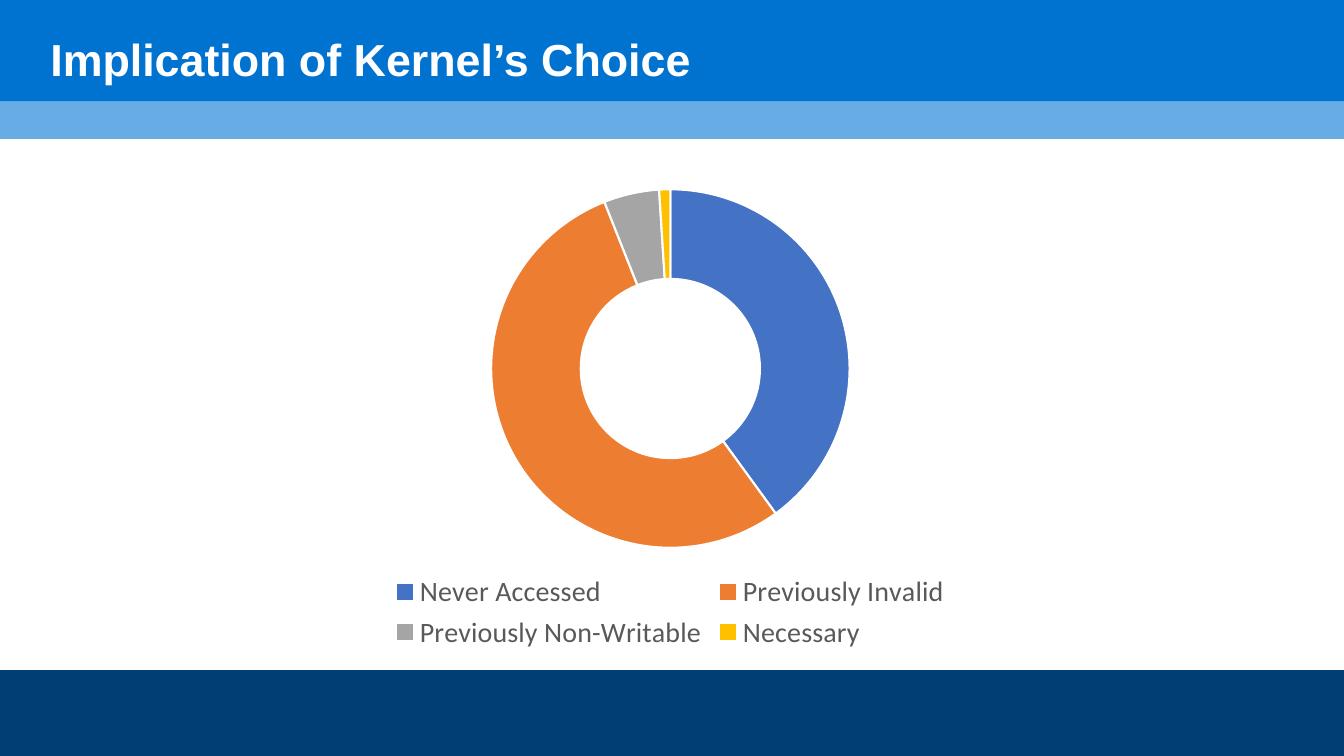
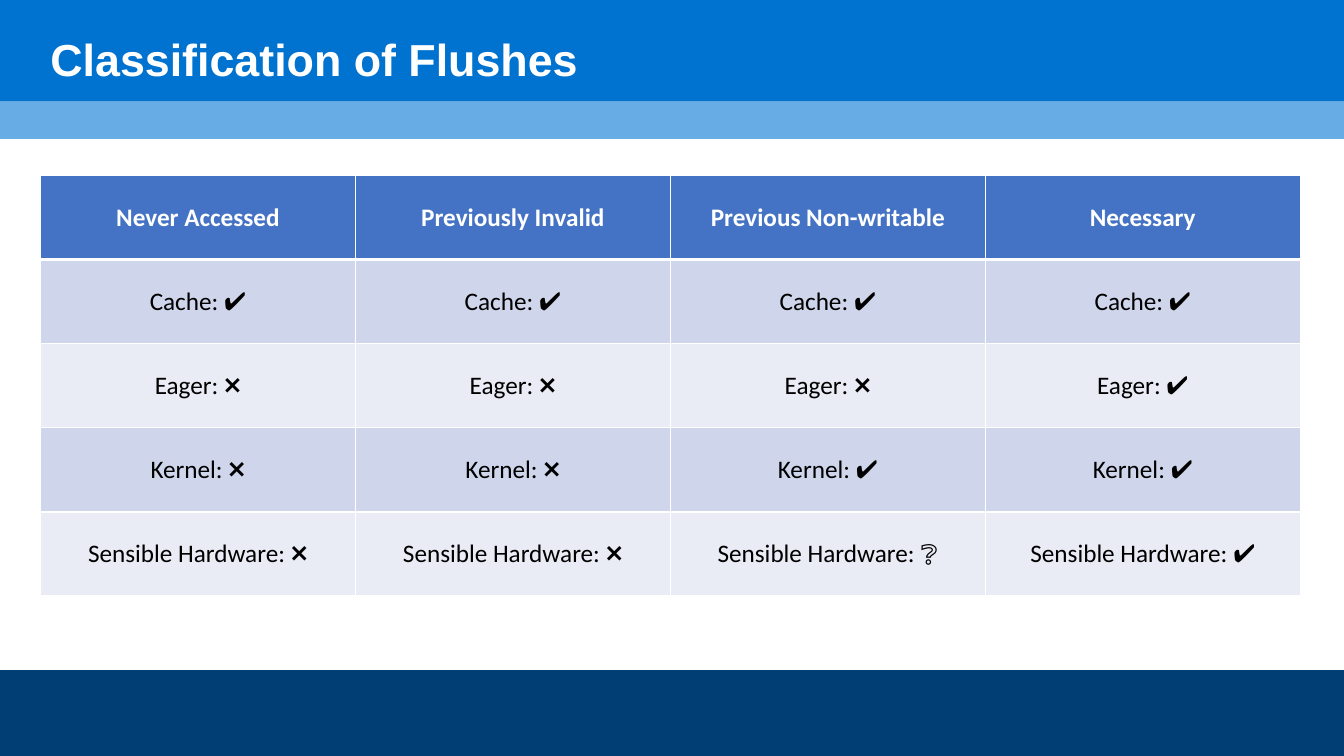
from dataclasses import dataclass

from lxml import etree
from pptx import Presentation
from pptx import util as u
from pptx.chart import data
from pptx.dml.color import RGBColor
from pptx.enum import chart as charts, shapes, text
from pptx.oxml import ns


@dataclass(frozen=True)
class Theme:
    title_band: str = "0072CF"
    accent_band: str = "68ACE5"
    footer_band: str = "003E74"
    white: str = "FFFFFF"
    black: str = "000000"
    legend: str = "595959"
    header: str = "4472C4"
    stripes: tuple[str, str] = ("CFD5EA", "E9EBF5")
    title_font: str = "Arial"
    body_font: str = "Calibri"
    title_size: int = 32
    legend_size: int = 20
    cell_size: int = 18
    chart_size: int = 10


@dataclass(frozen=True)
class Band:
    top: float
    height: float
    color: str


@dataclass(frozen=True)
class Slice:
    name: str
    share: int
    color: str


@dataclass(frozen=True)
class Policy:
    name: str
    marks: tuple[str, ...]


THEME = Theme()
WIDTH, HEIGHT = 33.87, 19.05
LEFT, BODY_TOP, BODY_WIDTH = 1.02, 4.42, 31.75
CHART_HEIGHT, ROW_HEIGHT = 12.09, 2.12

BANDS = (
    Band(0, 2.56, THEME.title_band),
    Band(2.56, 0.94, THEME.accent_band),
    Band(16.89, 2.16, THEME.footer_band),
)
SLICES = (
    Slice("Never Accessed", 40, "4472C4"),
    Slice("Previously Invalid", 54, "ED7D31"),
    Slice("Previously Non-Writable", 5, "A5A5A5"),
    Slice("Necessary", 1, "FFC000"),
)
YES, NO, MAYBE = "✔️", "❌", "❔"
HEADERS = ("Never Accessed", "Previously Invalid", "Previous Non-writable", "Necessary")
POLICIES = (
    Policy("Cache", (YES, YES, YES, YES)),
    Policy("Eager", (NO, NO, NO, YES)),
    Policy("Kernel", (NO, NO, YES, YES)),
    Policy("Sensible Hardware", (NO, NO, MAYBE, YES)),
)


def rgb(color: str) -> RGBColor:
    return RGBColor.from_string(color)


def style_font(font, name: str, size: int, color: str, bold: bool = False) -> None:
    font.name = name
    font.size = u.Pt(size)
    font.bold = bold
    font.color.rgb = rgb(color)


def add_band(s, band: Band) -> None:
    sp = s.shapes.add_shape(shapes.MSO_SHAPE.RECTANGLE, 0, u.Cm(band.top),
                            u.Cm(WIDTH), u.Cm(band.height))
    sp.shadow.inherit = False
    sp.fill.solid()
    sp.fill.fore_color.rgb = rgb(band.color)
    sp.line.fill.background()


def add_slide(prs, title: str):
    s = prs.slides.add_slide(prs.slide_layouts[6])
    for band in BANDS:
        add_band(s, band)
    tf = s.shapes.add_textbox(u.Cm(LEFT), u.Cm(0.66), u.Cm(BODY_WIDTH), u.Cm(1.8)).text_frame
    tf.word_wrap = True
    tf.vertical_anchor = text.MSO_ANCHOR.MIDDLE
    p = tf.paragraphs[0]
    p.text = title
    p.line_spacing = 0.9
    p.space_before = u.Pt(10)
    style_font(p.runs[0].font, THEME.title_font, THEME.title_size, THEME.white, True)
    return s


def add_doughnut(s) -> None:
    chart_data = data.CategoryChartData()
    chart_data.categories = [part.name for part in SLICES]
    chart_data.add_series("Series 1", [part.share for part in SLICES])
    chart = s.shapes.add_chart(charts.XL_CHART_TYPE.DOUGHNUT, u.Cm(LEFT), u.Cm(BODY_TOP),
                               u.Cm(BODY_WIDTH), u.Cm(CHART_HEIGHT), chart_data).chart
    style_font(chart.font, THEME.body_font, THEME.chart_size, THEME.black)
    chart.has_title = False
    chart.has_legend = True
    chart.legend.position = charts.XL_LEGEND_POSITION.BOTTOM
    chart.legend.include_in_layout = False
    style_font(chart.legend.font, THEME.body_font, THEME.legend_size, THEME.legend)
    plot = chart.plots[0]
    plot.vary_by_categories = True
    for hole in chart.element.iter(ns.qn("c:holeSize")):
        hole.set("val", "75")
    for i, part in enumerate(SLICES):
        look = plot.series[0].points[i].format
        look.fill.solid()
        look.fill.fore_color.rgb = rgb(part.color)
        look.line.color.rgb = rgb(THEME.white)
        look.line.width = u.Pt(1.5)


def set_borders(cell, top: float, bottom: float) -> None:
    properties = cell._tc.get_or_add_tcPr()
    for i, (side, width) in enumerate(zip("LRTB", (1, 1, top, bottom))):
        line = etree.Element(ns.qn(f"a:ln{side}"), w=str(u.Pt(width)))
        fill = etree.SubElement(line, ns.qn("a:solidFill"))
        etree.SubElement(fill, ns.qn("a:srgbClr"), val=THEME.white)
        properties.insert(i, line)


def fill_cell(cell, label: str, row: int) -> None:
    is_header = row == 0
    cell.text_frame.text = label
    cell.vertical_anchor = text.MSO_ANCHOR.MIDDLE
    p = cell.text_frame.paragraphs[0]
    p.alignment = text.PP_ALIGN.CENTER
    style_font(p.runs[0].font, THEME.body_font, THEME.cell_size,
               THEME.white if is_header else THEME.black, is_header)
    cell.fill.solid()
    cell.fill.fore_color.rgb = rgb(THEME.header if is_header else THEME.stripes[(row - 1) % 2])
    set_borders(cell, top=3 if row == 1 else 1, bottom=3 if is_header else 1)


def add_policy_table(s) -> None:
    rows = [HEADERS] + [[f"{policy.name}: {mark}" for mark in policy.marks]
                        for policy in POLICIES]
    table = s.shapes.add_table(len(rows), len(HEADERS), u.Cm(LEFT), u.Cm(BODY_TOP),
                               u.Cm(BODY_WIDTH), u.Cm(ROW_HEIGHT * len(rows))).table
    for i, labels in enumerate(rows):
        for j, label in enumerate(labels):
            fill_cell(table.cell(i, j), label, i)


def main() -> None:
    prs = Presentation()
    prs.slide_width, prs.slide_height = u.Cm(WIDTH), u.Cm(HEIGHT)
    add_doughnut(add_slide(prs, "Implication of Kernel’s Choice"))
    add_policy_table(add_slide(prs, "Classification of Flushes"))
    prs.save("out.pptx")


if __name__ == "__main__":
    main()
